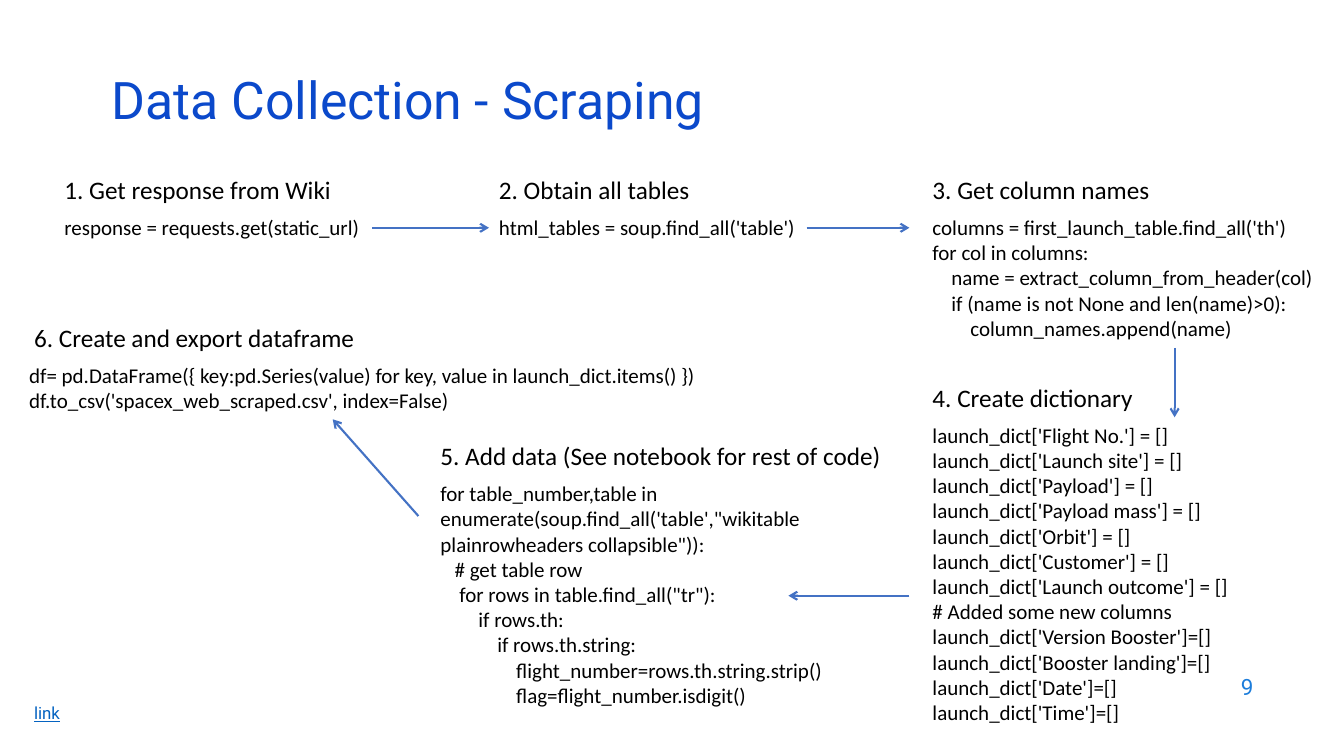
from lxml import etree
from pptx import Presentation
from pptx.dml.color import RGBColor
from pptx.enum.shapes import MSO_CONNECTOR
from pptx.enum.text import MSO_ANCHOR, PP_ALIGN
from pptx.oxml.ns import qn
from pptx.util import Inches, Pt

STRAIGHT = MSO_CONNECTOR.STRAIGHT
TOP, MIDDLE = MSO_ANCHOR.TOP, MSO_ANCHOR.MIDDLE
LEFT, RIGHT = PP_ALIGN.LEFT, PP_ALIGN.RIGHT

BLACK = RGBColor(0x00, 0x00, 0x00)
TITLE_BLUE = RGBColor(0x0B, 0x49, 0xCB)
NUMBER_BLUE = RGBColor(0x1C, 0x7D, 0xDB)
LINK_BLUE = RGBColor(0x05, 0x63, 0xC1)
ARROW_BLUE = RGBColor(0x44, 0x72, 0xC4)

HEADING_HEIGHT = 0.4

RESPONSE_CODE = "response = requests.get(static_url)"
TABLES_CODE = "html_tables = soup.find_all('table')"
COLUMNS_CODE = """columns = first_launch_table.find_all('th')
for col in columns:
    name = extract_column_from_header(col)
    if (name is not None and len(name)>0):
        column_names.append(name)"""
DICTIONARY_CODE = """launch_dict['Flight No.'] = []
launch_dict['Launch site'] = []
launch_dict['Payload'] = []
launch_dict['Payload mass'] = []
launch_dict['Orbit'] = []
launch_dict['Customer'] = []
launch_dict['Launch outcome'] = []
# Added some new columns
launch_dict['Version Booster']=[]
launch_dict['Booster landing']=[]
launch_dict['Date']=[]
launch_dict['Time']=[]"""
ROWS_CODE = """for table_number,table in enumerate(soup.find_all('table',"wikitable plainrowheaders collapsible")):
   # get table row
    for rows in table.find_all("tr"):
        if rows.th:
            if rows.th.string:
                flight_number=rows.th.string.strip()
                flag=flight_number.isdigit()"""
EXPORT_CODE = """df= pd.DataFrame({ key:pd.Series(value) for key, value in launch_dict.items() })
df.to_csv('spacex_web_scraped.csv', index=False)"""

STEPS = [
    ("1. Get response from Wiki", (0.54, 1.68, 3.15), RESPONSE_CODE, (0.54, 3.15, 0.35)),
    ("2. Obtain all tables", (4.85, 1.68, 3.15), TABLES_CODE, (4.85, 3.15, 0.35)),
    ("3. Get column names", (9.15, 1.68, 3.98), COLUMNS_CODE, (9.15, 4.07, 1.36)),
    ("4. Create dictionary", (9.15, 3.74, 3.98), DICTIONARY_CODE, (9.15, 3.69, 3.13)),
    ("5. Add data (See notebook for rest of code)", (4.27, 4.32, 4.6), ROWS_CODE, (4.27, 4.3, 2.37)),
    ("6. Create and export dataframe", (0.24, 3.15, 4.07), EXPORT_CODE, (0.19, 6.91, 0.61)),
]

ARROWS = [
    ((3.69, 2.26), (4.85, 2.26)),
    ((8, 2.26), (9.02, 2.26)),
    ((11.65, 3.45), (11.65, 4.14)),
    ((9.02, 5.91), (7.82, 5.91)),
    ((4.15, 5.12), (3.3, 4.16)),
]


class ScrapingSlide:
    """Draws the text, steps and arrows of one slide in a shared style."""

    heading_font = "Roboto"
    step_font = "Calibri"

    def __init__(self, slide):
        self.slide = slide

    def text(self, box, text, font, size, color, anchor=TOP, align=LEFT,
             spacing=None, underline=None):
        shape = self.slide.shapes.add_textbox(*map(Inches, box))
        frame = shape.text_frame
        frame.word_wrap = True
        frame.vertical_anchor = anchor
        frame.text = text
        for paragraph in frame.paragraphs:
            paragraph.alignment = align
            paragraph.line_spacing = spacing
            paragraph.font.name = font
            paragraph.font.size = Pt(size)
            paragraph.font.color.rgb = color
            paragraph.font.underline = underline

    def step(self, heading, heading_place, code, code_place):
        left, top, width = heading_place
        self.text((left, top, width, HEADING_HEIGHT), heading, self.step_font, 18, BLACK)
        left, width, height = code_place
        self.text((left, top + HEADING_HEIGHT, width, height), code, self.step_font, 15, BLACK)

    def arrow(self, start, end):
        connector = self.slide.shapes.add_connector(STRAIGHT, *map(Inches, start + end))
        connector.line.color.rgb = ARROW_BLUE
        connector.line.width = Pt(1.5)
        etree.SubElement(connector.line._get_or_add_ln(), qn("a:tailEnd"), type="arrow")
        etree.SubElement(connector._element.spPr, qn("a:effectLst"))


def main():
    presentation = Presentation()
    presentation.slide_width = Inches(13.33)
    presentation.slide_height = Inches(7.5)
    page = ScrapingSlide(presentation.slides.add_slide(presentation.slide_layouts[6]))

    page.text((1.01, 0.76, 11.5, 0.6), "Data Collection - Scraping", page.heading_font, 37,
              TITLE_BLUE, anchor=MIDDLE, spacing=0.7)
    page.text((9.53, 6.59, 3, 0.44), "9", page.heading_font, 16, NUMBER_BLUE,
              anchor=MIDDLE, align=RIGHT)
    page.text((0.24, 6.92, 1.54, 0.35), "link", page.heading_font, 12, LINK_BLUE, underline=True)
    for step in STEPS:
        page.step(*step)
    for start, end in ARROWS:
        page.arrow(start, end)

    presentation.save("out.pptx")


if __name__ == "__main__":
    main()
